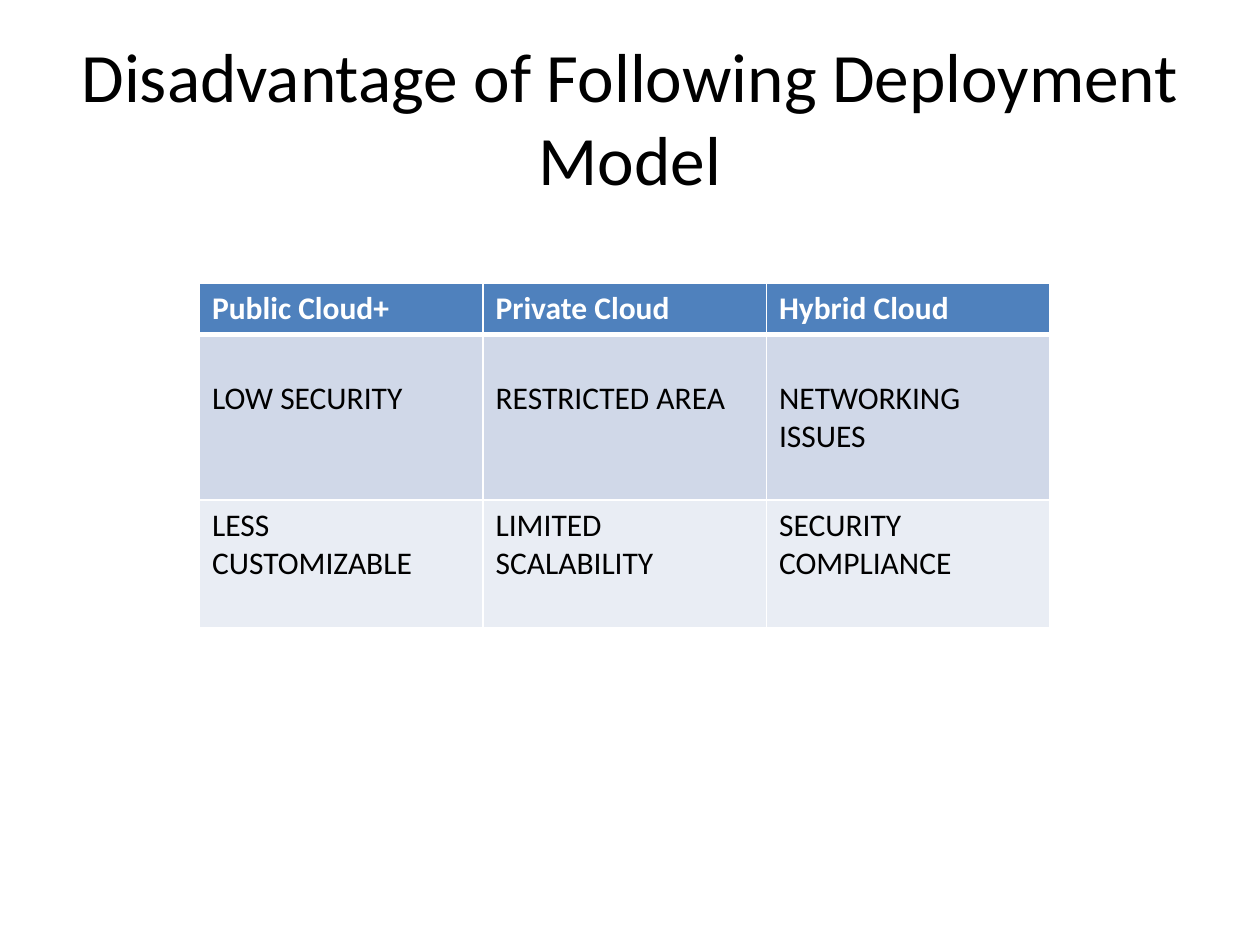
"""Build a slide with a table of cloud deployment model disadvantages."""
from lxml.etree import SubElement
from pptx import Presentation
from pptx.dml.color import RGBColor
from pptx.enum.text import MSO_ANCHOR, MSO_AUTO_SIZE, PP_ALIGN
from pptx.oxml.ns import qn
from pptx.util import Pt

BLACK = RGBColor(0x00, 0x00, 0x00)
WHITE = RGBColor(0xFF, 0xFF, 0xFF)
BLUE = RGBColor(0x4F, 0x81, 0xBD)
BAND_DARK = RGBColor(0xD0, 0xD8, 0xE8)
BAND_LIGHT = RGBColor(0xE9, 0xED, 0xF4)

ROWS = [
    ("Public Cloud+", "Private Cloud", "Hybrid Cloud"),
    ("LOW SECURITY", "RESTRICTED AREA", "NETWORKING ISSUES"),
    ("LESS CUSTOMIZABLE", "LIMITED SCALABILITY", "SECURITY COMPLIANCE"),
]
ROW_HEIGHTS = [29.2, 94.6, 73]
ROW_FILLS = [BLUE, BAND_DARK, BAND_LIGHT]
TOP_MARGINS = [3.6, 25.6, 3.6]
COLUMN_WIDTH = 162


class SlideBuilder:
    """Hold the style and the current slide."""

    font_name = "Calibri"
    title_size = Pt(39.6)
    body_size = Pt(18)

    def __init__(self, s):
        self.s = s

    def style(self, p, size, color, bold=False):
        p.font.name = self.font_name
        p.font.size = size
        p.font.bold = bold
        p.font.color.rgb = color

    def title(self, text, left, top, width, height):
        sp = self.s.shapes.title
        sp.left, sp.top, sp.width, sp.height = map(Pt, (left, top, width, height))
        tf = sp.text_frame
        tf.text = text
        tf.word_wrap = True
        tf.auto_size = MSO_AUTO_SIZE.NONE
        tf.vertical_anchor = MSO_ANCHOR.MIDDLE
        p = tf.paragraphs[0]
        p.alignment = PP_ALIGN.CENTER
        self.style(p, self.title_size, BLACK)

    def border(self, cell, side, width):
        tc_pr = cell._tc.get_or_add_tcPr()
        ln = SubElement(tc_pr, qn(f"a:ln{side}"), w=str(Pt(width)))
        fill = SubElement(ln, qn("a:solidFill"))
        SubElement(fill, qn("a:srgbClr"), val=str(WHITE))

    def cell(self, cell, text, row):
        header = row == 0
        widths = {"L": 1, "R": 1, "T": 3 if row == 1 else 1, "B": 3 if header else 1}
        for side, width in widths.items():
            self.border(cell, side, width)
        cell.fill.solid()
        cell.fill.fore_color.rgb = ROW_FILLS[row]
        cell.margin_top = Pt(TOP_MARGINS[row])
        cell.text = text
        self.style(cell.text_frame.paragraphs[0], self.body_size,
                   WHITE if header else BLACK, header)

    def table(self, left, top):
        columns = len(ROWS[0])
        table = self.s.shapes.add_table(
            len(ROWS), columns, Pt(left), Pt(top),
            Pt(COLUMN_WIDTH * columns), Pt(sum(ROW_HEIGHTS))).table
        for column in table.columns:
            column.width = Pt(COLUMN_WIDTH)
        for i, texts in enumerate(ROWS):
            table.rows[i].height = Pt(ROW_HEIGHTS[i])
            for j, text in enumerate(texts):
                self.cell(table.cell(i, j), text, i)


def main():
    prs = Presentation()
    prs.slide_width, prs.slide_height = Pt(720), Pt(540)
    builder = SlideBuilder(prs.slides.add_slide(prs.slide_layouts[5]))
    builder.title("Disadvantage of Following Deployment Model", 36, 21.6, 648, 90)
    builder.table(114, 162)
    prs.save("out.pptx")


if __name__ == "__main__":
    main()
